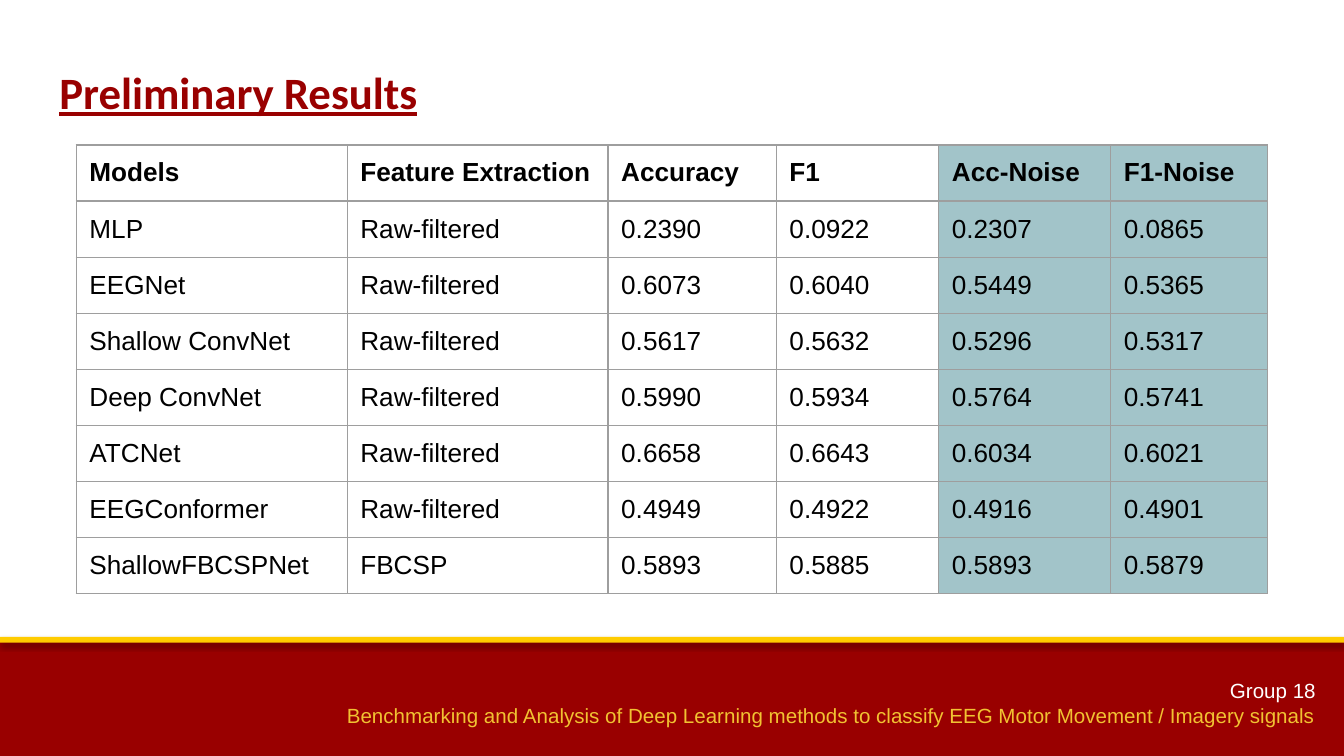
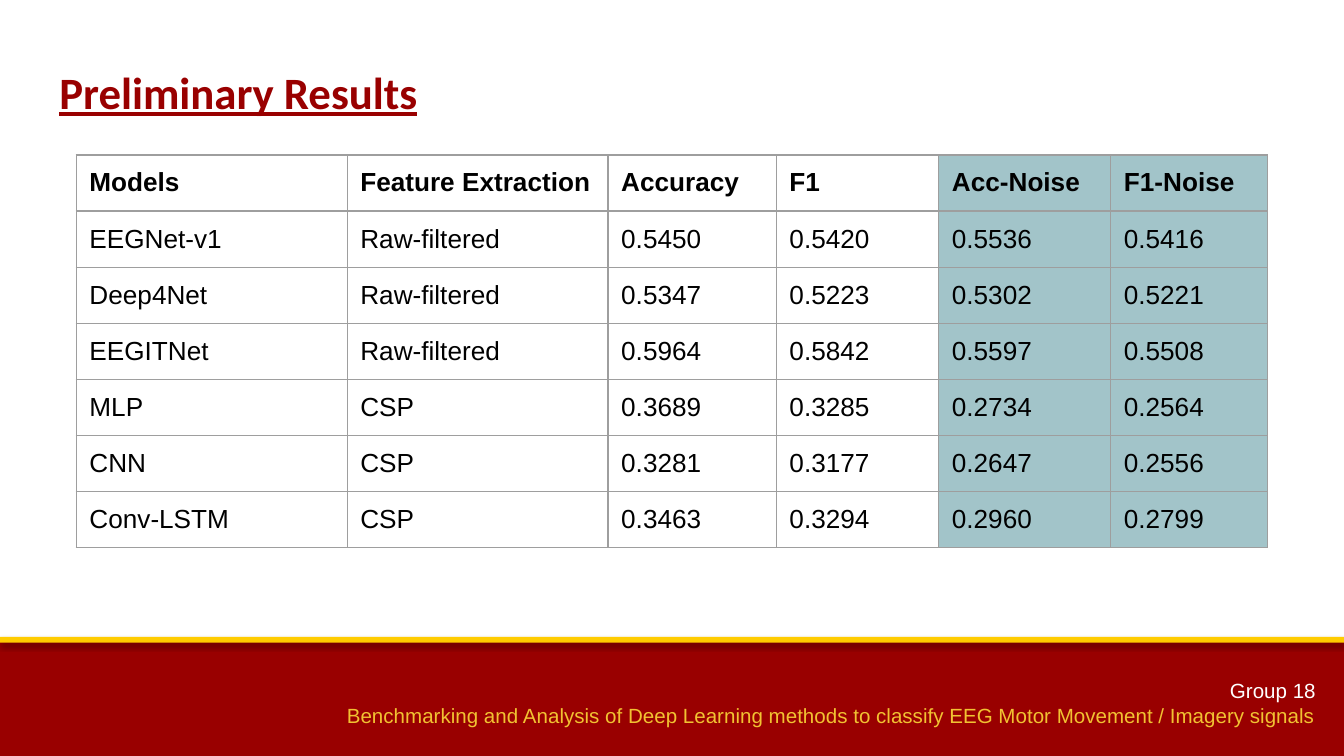
from lxml import etree
from pptx import Presentation
from pptx import util as u
from pptx.dml.color import RGBColor
from pptx.enum import shapes, text
from pptx.oxml import parse_xml
from pptx.oxml.ns import nsdecls, qn

# Content
TITLE = "Preliminary Results"
HEADER = ("Models", "Feature Extraction", "Accuracy", "F1", "Acc-Noise", "F1-Noise")
RESULTS = [
    {"top": 2.74, "rows": [
        ("MLP", "Raw-filtered", "0.2390", "0.0922", "0.2307", "0.0865"),
        ("EEGNet", "Raw-filtered", "0.6073", "0.6040", "0.5449", "0.5365"),
        ("Shallow ConvNet", "Raw-filtered", "0.5617", "0.5632", "0.5296", "0.5317"),
        ("Deep ConvNet", "Raw-filtered", "0.5990", "0.5934", "0.5764", "0.5741"),
        ("ATCNet", "Raw-filtered", "0.6658", "0.6643", "0.6034", "0.6021"),
        ("EEGConformer", "Raw-filtered", "0.4949", "0.4922", "0.4916", "0.4901"),
        ("ShallowFBCSPNet", "FBCSP", "0.5893", "0.5885", "0.5893", "0.5879"),
    ]},
    {"top": 2.93, "rows": [
        ("EEGNet-v1", "Raw-filtered", "0.5450", "0.5420", "0.5536", "0.5416"),
        ("Deep4Net", "Raw-filtered", "0.5347", "0.5223", "0.5302", "0.5221"),
        ("EEGITNet", "Raw-filtered", "0.5964", "0.5842", "0.5597", "0.5508"),
        ("MLP", "CSP", "0.3689", "0.3285", "0.2734", "0.2564"),
        ("CNN", "CSP", "0.3281", "0.3177", "0.2647", "0.2556"),
        ("Conv-LSTM", "CSP", "0.3463", "0.3294", "0.2960", "0.2799"),
    ]},
]

# Shared style
RED, GOLD, TEAL, GREY = "990000", "FFCC00", "A2C4C9", "9E9E9E"
FOOTER = [
    ("Group 18", "FFFFFF"),
    ("Benchmarking and Analysis of Deep Learning methods to classify "
     "EEG Motor Movement / Imagery signals", "F1C232"),
]
WIDTH, HEIGHT = 25.4, 14.29
BAND_TOP = 12.09
TABLE_LEFT, ROW_HEIGHT = 1.44, 1.06
COL_WIDTHS = (5.12, 4.93, 3.18, 3.07, 3.25, 2.97)
NOISE_COL = 4
INSET = u.Cm(0.25)


def rgb(value):
    return RGBColor.from_string(value)


def set_font(p, size, color, name="Arial", bold=False, underline=False):
    for r in p.runs:
        f = r.font
        f.size, f.name, f.bold, f.underline = u.Pt(size), name, bold, underline
        f.color.rgb = rgb(color)


def set_insets(obj):
    obj.margin_left = obj.margin_right = obj.margin_top = obj.margin_bottom = INSET


def add_rect(s, left, top, width, height, color):
    sp = s.shapes.add_shape(shapes.MSO_SHAPE.RECTANGLE, u.Cm(left), u.Cm(top),
                            u.Cm(width), u.Cm(height))
    sp.shadow.inherit = False
    sp.fill.solid()
    sp.fill.fore_color.rgb = rgb(color)
    sp.line.fill.background()
    return sp


def add_shadow(sp):
    effects = sp._element.spPr.find(qn("a:effectLst"))
    shadow = etree.SubElement(effects, qn("a:outerShdw"), blurRad=str(u.Pt(3.1)),
                              dist=str(u.Pt(1.6)), dir="5400000", rotWithShape="0")
    color = etree.SubElement(shadow, qn("a:srgbClr"), val="000000")
    etree.SubElement(color, qn("a:alpha"), val="38000")


def add_bands(s):
    add_rect(s, 0, BAND_TOP, WIDTH, HEIGHT - BAND_TOP, RED)
    add_shadow(add_rect(s, 0, BAND_TOP - 0.05, WIDTH, 0.11, GOLD))


def add_title(s):
    sp = s.shapes.title
    sp.left, sp.top, sp.width, sp.height = map(u.Cm, (0.87, 0.87, 23.67, 1.73))
    tf = sp.text_frame
    tf.text = TITLE
    tf.auto_size = text.MSO_AUTO_SIZE.NONE
    tf.vertical_anchor = text.MSO_ANCHOR.MIDDLE
    set_insets(tf)
    p = tf.paragraphs[0]
    p.alignment = text.PP_ALIGN.LEFT
    set_font(p, 24, RED, "Calibri", bold=True, underline=True)


def add_borders(cell):
    tcPr = cell._tc.get_or_add_tcPr()
    for side in "LRTB":
        tcPr.append(parse_xml(
            f'<a:ln{side} {nsdecls("a")} w="{u.Pt(0.75)}"><a:solidFill>'
            f'<a:srgbClr val="{GREY}"/></a:solidFill></a:ln{side}>'))


def add_results(s, top, rows):
    data = [HEADER, *rows]
    table = s.shapes.add_table(
        len(data), len(HEADER), u.Cm(TABLE_LEFT), u.Cm(top),
        u.Cm(sum(COL_WIDTHS)), u.Cm(ROW_HEIGHT * len(data))).table
    table.first_row = table.horz_banding = False
    for col, width in zip(table.columns, COL_WIDTHS):
        col.width = u.Cm(width)
    for i, values in enumerate(data):
        table.rows[i].height = u.Cm(ROW_HEIGHT)
        for j, value in enumerate(values):
            cell = table.cell(i, j)
            cell.text = value
            set_insets(cell)
            set_font(cell.text_frame.paragraphs[0], 14, "000000", bold=i == 0)
            add_borders(cell)
            if j >= NOISE_COL:
                cell.fill.solid()
                cell.fill.fore_color.rgb = rgb(TEAL)
            else:
                cell.fill.background()


def add_footer(s):
    tf = add_rect(s, 4.42, 12.57, 20.7, 1.32, RED).text_frame
    tf.word_wrap = True
    tf.vertical_anchor = text.MSO_ANCHOR.TOP
    set_insets(tf)
    tf.text = "\n".join(line for line, _ in FOOTER)
    for p, (_, color) in zip(tf.paragraphs, FOOTER):
        p.alignment = text.PP_ALIGN.RIGHT
        set_font(p, 11, color)


def main():
    prs = Presentation()
    prs.slide_width, prs.slide_height = u.Cm(WIDTH), u.Cm(HEIGHT)
    for result in RESULTS:
        s = prs.slides.add_slide(prs.slide_layouts[5])
        add_bands(s)
        add_title(s)
        add_results(s, **result)
        add_footer(s)
    prs.save("out.pptx")


if __name__ == "__main__":
    main()
